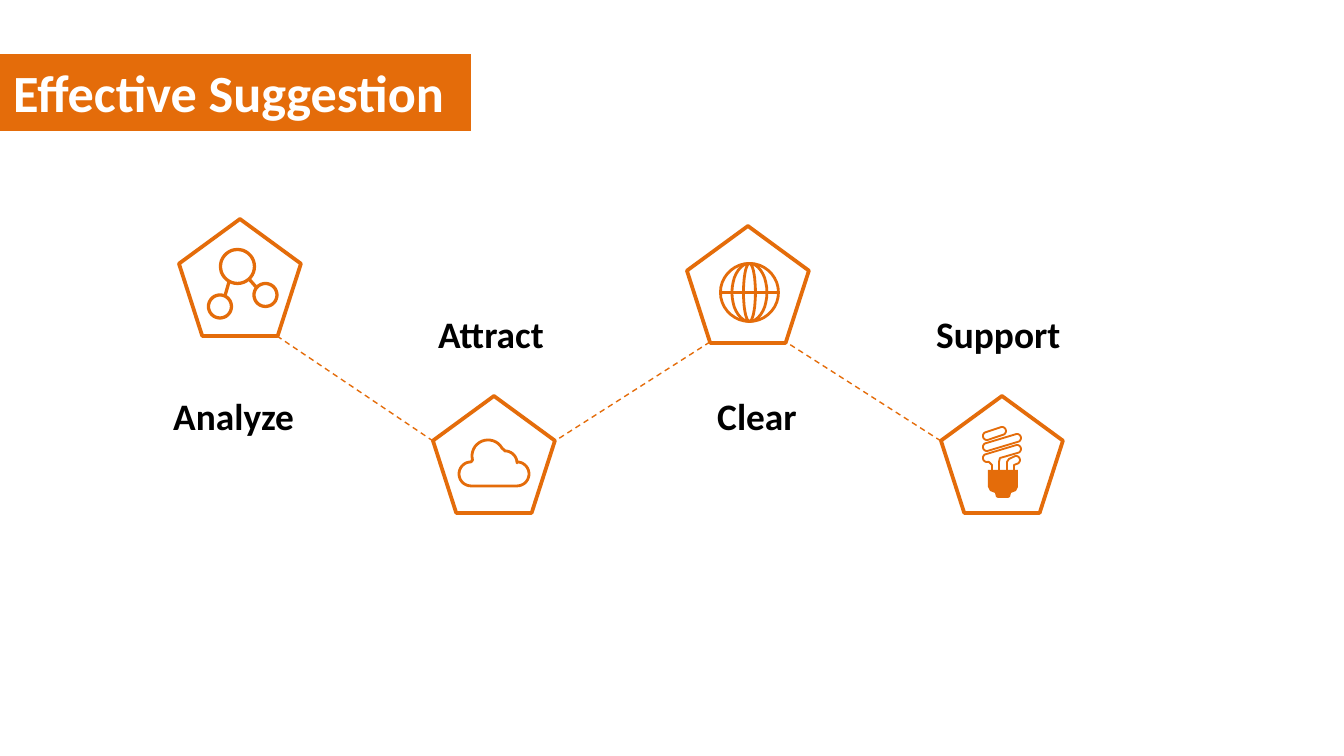
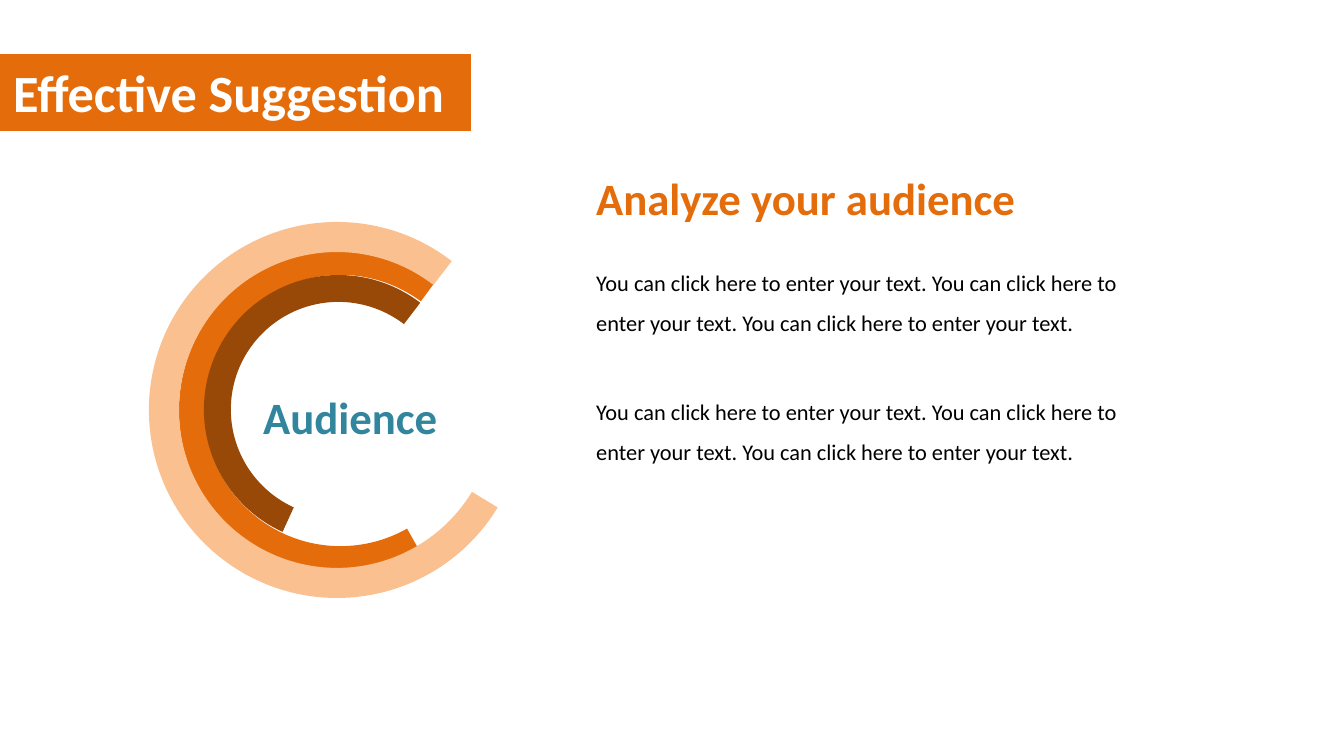
from dataclasses import dataclass
from math import cos, radians, sin

from lxml import etree
from pptx import Presentation
from pptx.dml.color import RGBColor
from pptx.enum.dml import MSO_LINE
from pptx.enum.shapes import MSO_CONNECTOR, MSO_SHAPE
from pptx.enum.text import MSO_ANCHOR, MSO_AUTO_SIZE, PP_ALIGN
from pptx.oxml.ns import qn
from pptx.util import Emu, Pt

RECT = MSO_SHAPE.RECTANGLE
PENTAGON = MSO_SHAPE.REGULAR_PENTAGON
BLOCK_ARC = MSO_SHAPE.BLOCK_ARC
STRAIGHT = MSO_CONNECTOR.STRAIGHT
DASH = MSO_LINE.DASH
LEFT = PP_ALIGN.LEFT
TOP = MSO_ANCHOR.TOP
FIT = MSO_AUTO_SIZE.SHAPE_TO_FIT_TEXT

EMU_PER_PX = 914400 / 134.4
STEPS = 10  # freeform units per pixel


@dataclass(frozen=True)
class Theme:
    """Colours, font and type sizes of the deck."""
    font: str = "Calibri"
    accent: str = "E46C0A"
    dark: str = "984807"
    light: str = "FAC090"
    teal: str = "31859C"
    text: str = "000000"
    white: str = "FFFFFF"
    title: int = 28
    heading: int = 24
    label: int = 20
    body: int = 12


def px(n):
    """Turn pixels into EMU."""
    return Emu(round(n * EMU_PER_PX))


def rgb(color):
    """Turn a hex string into a colour."""
    return RGBColor.from_string(color)


def arc(cx, cy, rx, start=0, end=360, ry=None):
    """Return points along an elliptical arc, clockwise, in degrees."""
    ry = ry or rx
    n = max(8, round((end - start) / 10))
    angles = [radians(start + (end - start) * i / n) for i in range(n + 1)]
    return [(cx + rx * cos(a), cy + ry * sin(a)) for a in angles]


def tube(x1, y1, x2, y2, r=4):
    """Return the outline of a slanted round-ended tube."""
    return arc(x1, y1, r, 74, 254) + arc(x2, y2, r, 254, 434)


class Deck:
    """Holds the theme, the presentation and the current slide."""

    def __init__(self, theme):
        """Start an empty deck."""
        self.t = theme
        self.prs = Presentation()
        self.prs.slide_width, self.prs.slide_height = px(1344), px(756)
        self.s = None

    def slide(self, title):
        """Add a slide with its title band."""
        self.s = self.prs.slides.add_slide(self.prs.slide_layouts[6])
        self.shape(RECT, 0, 54, 471, 77, fill=self.t.accent)
        self.text(title, 0, 54, 471, 77, size=self.t.title,
                  color=self.t.white, bold=True)

    def paint(self, sp, fill=None, line=None, width=1):
        """Set fill and line of a shape and drop its shadow."""
        sp.shadow.inherit = False
        if fill:
            sp.fill.solid()
            sp.fill.fore_color.rgb = rgb(fill)
        else:
            sp.fill.background()
        if line:
            sp.line.color.rgb = rgb(line)
            sp.line.width = Pt(width)
        else:
            sp.line.fill.background()

    def shape(self, kind, x, y, w, h, **style):
        """Add a preset shape."""
        sp = self.s.shapes.add_shape(kind, px(x), px(y), px(w), px(h))
        self.paint(sp, **style)
        return sp

    def ring(self, x, y, size, start, end, thick, color, turn=270):
        """Add a block arc with angles in degrees."""
        sp = self.shape(BLOCK_ARC, x, y, size, size, fill=color)
        for i, value in enumerate((start * 0.6, end * 0.6, thick)):
            sp.adjustments[i] = value
        sp.rotation = turn

    def outline(self, x, y, contours, **style):
        """Add a freeform from (points, closed) contours placed at x, y."""
        fb = None
        for points, closed in contours:
            pts = [((x + a) * STEPS, (y + b) * STEPS) for a, b in points]
            if fb is None:
                fb = self.s.shapes.build_freeform(
                    *pts[0], scale=EMU_PER_PX / STEPS)
            else:
                fb.move_to(*pts[0])
            fb.add_line_segments(pts[1:], close=closed)
        self.paint(fb.convert_to_shape(), **style)

    def dashed(self, x1, y1, x2, y2):
        """Add a thin dashed connector."""
        c = self.s.shapes.add_connector(STRAIGHT, px(x1), px(y1),
                                        px(x2), px(y2))
        c.line.color.rgb = rgb(self.t.accent)
        c.line.width = Pt(0.75)
        c.line.dash_style = DASH
        etree.SubElement(c._element.spPr, qn("a:effectLst"))

    def text(self, text, x, y, w, h, size, color=None, bold=False,
             spacing=None):
        """Add a wrapped text box with one paragraph."""
        tb = self.s.shapes.add_textbox(px(x), px(y), px(w), px(h))
        tf = tb.text_frame
        tf.word_wrap = True
        tf.auto_size = FIT
        tf.vertical_anchor = TOP
        p = tf.paragraphs[0]
        p.alignment = LEFT
        if spacing:
            p.line_spacing = spacing
        r = p.add_run()
        r.text = text
        r.font.name = self.t.font
        r.font.size = Pt(size)
        r.font.bold = bold
        r.font.color.rgb = rgb(color or self.t.text)


NETWORK = [
    (arc(58.5, 47.5, 17), True),
    (arc(41, 87.5, 11.5), True),
    (arc(86.5, 76, 11.5), True),
    ([(50, 63), (46, 77)], False),
    ([(70, 60), (78, 69)], False),
]
CLOUD = [(arc(38, 78, 12, 90, 270) + arc(55, 60, 16, 165, 330)
          + arc(72, 67, 12, 270, 360) + arc(84, 78, 12, 270, 450), True)]
GLOBE = [(arc(62.5, 66.5, rx, ry=29), True) for rx in (29, 17.5, 6)]
GLOBE.append(([(33.5, 66.5), (91.5, 66.5)], False))
BULB = [
    (tube(46, 40, 61, 35), True),
    (tube(46, 51, 76, 42), True),
    ([(51, 74), (51, 69), (48, 66)] + tube(46, 62, 76, 53)
     + [(59, 62), (58, 66), (58, 74)], False),
    ([(66, 74), (66, 66), (68, 63)] + arc(75, 64, 4, 254, 434)
     + [(73, 69), (73, 74)], False),
]
BULB_BASE = [([(47, 74), (77, 74), (77, 91), (75, 95), (70, 97), (69, 101),
               (67, 102), (57, 102), (55, 101), (54, 97), (49, 95),
               (47, 91)], True)]


def steps_slide(deck):
    """Build the zigzag of four pentagons."""
    t = deck.t
    deck.slide("Effective Suggestion")
    # pentagon x, y, icon, icon line width, label, label x, label y
    steps = [
        (179, 219, NETWORK, 1.75, "Analyze", 160, 387),
        (433, 396, CLOUD, 1.5, "Attract", 425, 305),
        (687, 226, GLOBE, 1.5, "Clear", 704, 387),
        (941, 396, BULB, 1, "Support", 923, 305),
    ]
    for x, y, icon, width, label, label_x, label_y in steps:
        deck.shape(PENTAGON, x, y, 122, 117, line=t.accent, width=2)
        deck.outline(x, y, icon, line=t.accent, width=width)
        deck.text(label, label_x, label_y, 286, 59, size=t.label, bold=True)
    deck.outline(941, 396, BULB_BASE, fill=t.accent)
    for ends in ((277, 336, 433, 441), (710, 342, 555, 441),
                 (941, 441, 786, 342)):
        deck.dashed(*ends)


def audience_slide(deck):
    """Build the three rings and the text beside them."""
    t = deck.t
    deck.slide("Effective Suggestion")
    deck.ring(179, 249, 323, 150.58, 36.38, 0.08, t.accent)
    deck.ring(204, 275, 269, 200.72, 33.69, 0.1, t.dark, turn=273.8)
    deck.ring(149, 222, 376, 121.24, 37.65, 0.08, t.light)
    deck.text("Audience", 250, 383, 288, 67, size=t.heading, color=t.teal,
              bold=True)
    deck.text("Analyze your audience", 583, 164, 477, 67, size=t.heading,
              color=t.accent, bold=True)
    body = " ".join(["You can click here to enter your text."] * 3)
    for y in (249, 378):
        deck.text(body, 583, y, 560, 95, size=t.body, spacing=1.5)


def main():
    """Build and save the deck."""
    deck = Deck(Theme())
    steps_slide(deck)
    audience_slide(deck)
    deck.prs.save("out.pptx")


main()
